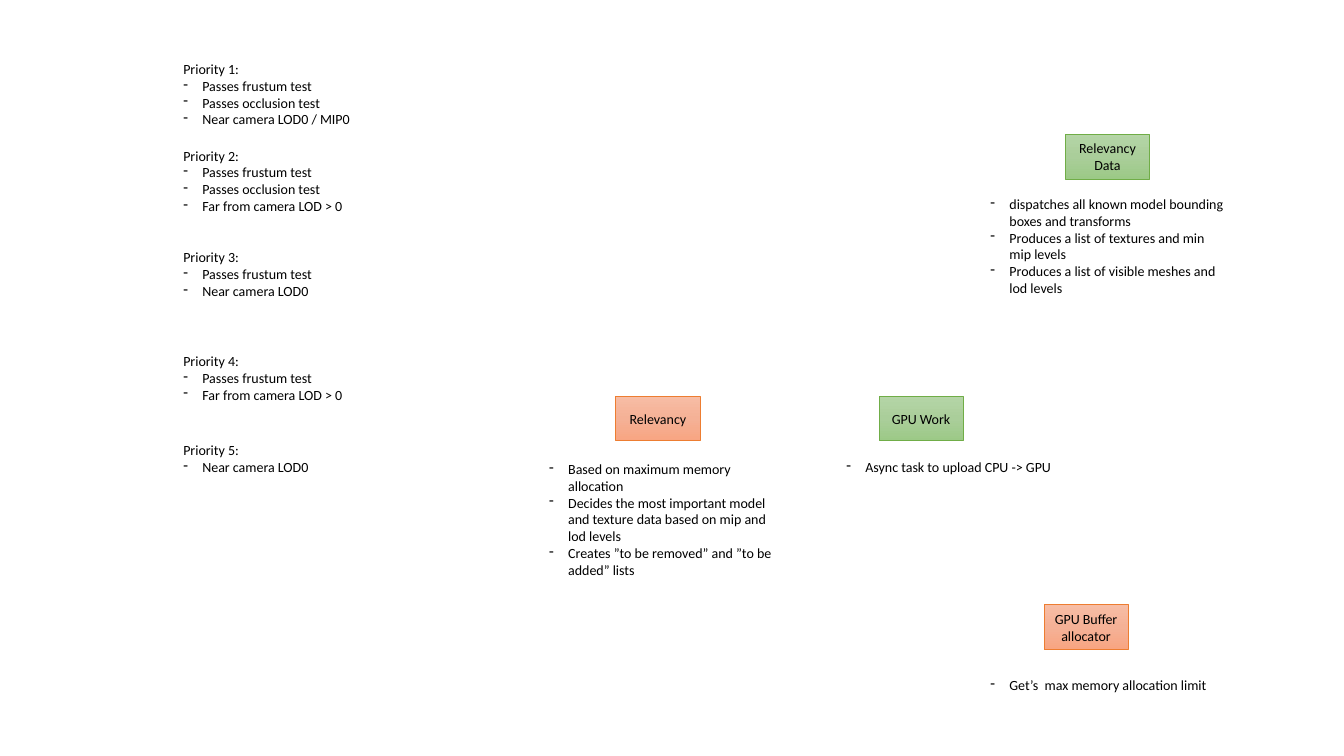
from copy import deepcopy

from lxml import etree
from pptx import Presentation
from pptx.dml.color import RGBColor
from pptx.enum.shapes import MSO_SHAPE
from pptx.enum.text import MSO_ANCHOR, MSO_AUTO_SIZE, PP_ALIGN
from pptx.oxml.ns import qn
from pptx.util import Cm, Pt

RECT = MSO_SHAPE.RECTANGLE
MIDDLE = MSO_ANCHOR.MIDDLE
CENTER = PP_ALIGN.CENTER
GROW = MSO_AUTO_SIZE.SHAPE_TO_FIT_TEXT

# Tone: top, middle and bottom of the gradient, then the line
ORANGE = ("F7BDA5", "F5B196", "F8A582", "ED7D31")
GREEN = ("B5D5A7", "AACE9A", "9CC987", "70AD47")

# Lengths in cm. Priority: top, width, height, items
RANKS = [
    (1.4, 4.78, 1.96, ["Passes frustum test", "Passes occlusion test",
                       "Near camera LOD0 / MIP0"]),
    (3.58, 4.6, 1.96, ["Passes frustum test", "Passes occlusion test",
                       "Far from camera LOD > 0"]),
    (6.15, 3.81, 1.55, ["Passes frustum test", "Near camera LOD0"]),
    (8.76, 4.6, 1.55, ["Passes frustum test", "Far from camera LOD > 0"]),
    (11.0, 3.73, 1.12, ["Near camera LOD0"]),
]
RANK_X = 4.37

# Stage: label, tone, box left and top, notes left, top and height, notes
STAGES = [
    ("GPU Buffer allocator", ORANGE, 26.31, 15.24, 24.71, 16.92, 0.69,
     ["Get’s  max memory allocation limit"]),
    ("Relevancy", ORANGE, 15.52, 9.98, 13.59, 11.48, 3.25,
     ["Based on maximum memory allocation",
      "Decides the most important model and texture data based on mip "
      "and lod levels",
      "Creates ”to be removed” and ”to be added” lists"]),
    ("Relevancy\nData", GREEN, 26.85, 3.38, 24.71, 4.8, 2.82,
     ["dispatches all known model bounding boxes and transforms",
      "Produces a list of textures and min mip levels",
      "Produces a list of visible meshes and lod levels"]),
    ("GPU Work", GREEN, 22.15, 9.98, 21.08, 11.43, 0.69,
     ["Async task to upload CPU -> GPU"]),
]
BOX_W, BOX_H, NOTE_W = 2.12, 1.13, 6.38
INDENT = Cm(0.48)


def color(code):
    return RGBColor.from_string(code)


def style(para):
    for run in para.runs:
        run.font.size = Pt(10)
        run.font.name = "Calibri"
        run.font.color.rgb = color("000000")


def dash(para):
    """Give the paragraph a hanging dash bullet."""
    props = para._p.get_or_add_pPr()
    props.set("marL", str(INDENT))
    props.set("indent", str(-INDENT))
    etree.SubElement(props, qn("a:buFontTx"))
    etree.SubElement(props, qn("a:buChar")).set("char", "-")


def shade(fill, tones):
    """Fill with three tones from top to bottom."""
    fill.gradient()
    fill.gradient_angle = 270
    first = fill._xPr.find(".//" + qn("a:gs"))
    first.addnext(deepcopy(first))
    for stop, tone, place in zip(fill.gradient_stops, tones, (0, 0.5, 1)):
        stop.color.rgb = color(tone)
        stop.position = place


def add_box(slide, label, tone, x, y):
    box = slide.shapes.add_shape(RECT, Cm(x), Cm(y), Cm(BOX_W), Cm(BOX_H))
    box.shadow.inherit = False
    shade(box.fill, tone[:3])
    box.line.color.rgb = color(tone[3])
    box.line.width = Pt(0.5)
    frame = box.text_frame
    frame.word_wrap = True
    frame.vertical_anchor = MIDDLE
    para = frame.paragraphs[0]
    para.text = label
    para.alignment = CENTER
    style(para)


def add_list(slide, x, y, w, h, items, head=None):
    frame = slide.shapes.add_textbox(Cm(x), Cm(y), Cm(w), Cm(h)).text_frame
    frame.word_wrap = head is None
    frame.auto_size = GROW
    lines = [head] + items if head else items
    frame.text = "\n".join(lines)
    for i, para in enumerate(frame.paragraphs):
        style(para)
        if i or not head:
            dash(para)


def main():
    deck = Presentation()
    deck.slide_width, deck.slide_height = Cm(33.87), Cm(19.05)
    slide = deck.slides.add_slide(deck.slide_layouts[6])
    for label, tone, x, y, left, top, high, notes in STAGES:
        add_box(slide, label, tone, x, y)
        add_list(slide, left, top, NOTE_W, high, notes)
    for i, (y, w, h, items) in enumerate(RANKS, 1):
        add_list(slide, RANK_X, y, w, h, items, f"Priority {i}:")
    deck.save("out.pptx")


if __name__ == "__main__":
    main()
